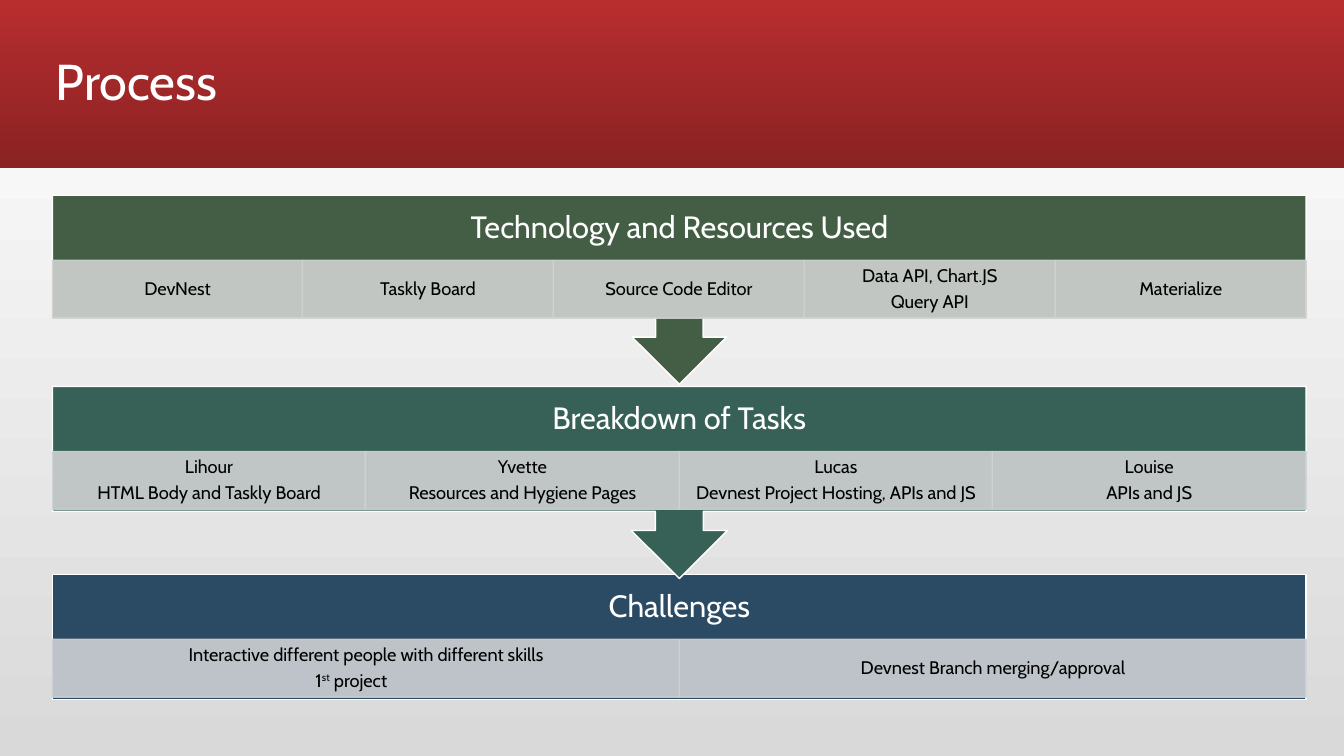
from lxml import etree
from pptx import Presentation
from pptx.dml.color import RGBColor
from pptx.enum.shapes import MSO_SHAPE
from pptx.enum.text import MSO_ANCHOR, PP_ALIGN
from pptx.oxml.ns import qn
from pptx.util import Pt

PX = 9525
RECT = MSO_SHAPE.RECTANGLE
CALLOUT = MSO_SHAPE.UP_ARROW_CALLOUT
MIDDLE = MSO_ANCHOR.MIDDLE
LEFT, CENTER = PP_ALIGN.LEFT, PP_ALIGN.CENTER

THEME = {
    "font": "Cabin",
    "title_size": 36, "heading_size": 22, "cell_size": 13,
    "light": "FFFFFF", "dark": "000000",
    "backdrop": ("D9D9D9", "FFFFFF"), "banner": ("B82D2F", "8A2223"),
    "technology": "445E45", "tasks": "376156", "challenges": "2B4A63",
    "technology_cell": "CFD2D0", "tasks_cell": "CED2D2", "challenges_cell": "CDD1D3",
}


def add_block(kind, bounds, fill, line, opacity=100):
    block = slide.shapes.add_shape(kind, *[value * PX for value in bounds])
    block.shadow.inherit = False
    block.fill.solid()
    block.fill.fore_color.rgb = RGBColor.from_string(fill)
    block.line.color.rgb = RGBColor.from_string(line)
    block.line.width = Pt(1)
    if opacity < 100:
        for color in list(block._element.spPr.iter(qn("a:srgbClr"))):
            etree.SubElement(color, qn("a:alpha")).set("val", str(opacity * 1000))
    return block


def write(holder, text, size, color, align=CENTER, inset=(10, 2), after=0.35):
    frame = holder.text_frame
    frame.word_wrap = True
    frame.vertical_anchor = MIDDLE
    frame.margin_left = frame.margin_right = inset[0] * PX
    frame.margin_top = frame.margin_bottom = inset[1] * PX
    for index, content in enumerate(text.split("\n")):
        paragraph = frame.add_paragraph() if index else frame.paragraphs[0]
        paragraph.alignment = align
        paragraph.line_spacing = 0.9
        paragraph.space_after = Pt(size * after)
        for part, piece in enumerate(content.split("^")):
            run = paragraph.add_run()
            run.text = piece
            run.font.name = THEME["font"]
            run.font.size = Pt(size)
            run.font.color.rgb = RGBColor.from_string(color)
            if part % 2:
                run.font._element.set("baseline", "30000")


presentation = Presentation()
presentation.slide_width = 1280 * PX
presentation.slide_height = 720 * PX
slide = presentation.slides.add_slide(presentation.slide_layouts[6])

banner = add_block(RECT, (0, 0, 1280, 160), THEME["banner"][0], THEME["banner"][0])
banner.line.fill.background()
for fill, colors, angle in (
    (slide.background.fill, THEME["backdrop"], 90),
    (banner.fill, THEME["banner"], 270),
):
    fill.gradient()
    fill.gradient_angle = angle
    for stop, color in zip(fill.gradient_stops, colors):
        stop.color.rgb = RGBColor.from_string(color)

title = slide.shapes.add_textbox(43 * PX, 11 * PX, 1056 * PX, 139 * PX)
write(title, "Process", THEME["title_size"], THEME["light"], align=LEFT, inset=(10, 5), after=0)

STAGE_LEFT, STAGE_WIDTH = 50, 1194
HEADING_HEIGHT, CELL_OFFSET, CELL_HEIGHT = 64, 62, 55

stages = [
    ("challenges", "Challenges", RECT, 547, 119, [
        "Interactive different people with different skills\n1^st^ project\t",
        "Devnest Branch merging/approval",
    ]),
    ("tasks", "Breakdown of Tasks", CALLOUT, 368, 183, [
        "Lihour\nHTML Body and Taskly Board",
        "Yvette\nResources and Hygiene Pages",
        "Lucas\nDevnest Project Hosting, APIs and JS",
        "Louise\nAPIs and JS",
    ]),
    ("technology", "Technology and Resources Used", CALLOUT, 186, 180, [
        "DevNest",
        "Taskly Board",
        "Source Code Editor",
        "Data API, Chart.JS\nQuery API",
        "Materialize",
    ]),
]

for stage, heading, kind, top, height, cells in stages:
    block = add_block(kind, (STAGE_LEFT, top, STAGE_WIDTH, height), THEME[stage], THEME["light"])
    if kind == CALLOUT:
        block.rotation = 180
    label = slide.shapes.add_textbox(
        STAGE_LEFT * PX, top * PX, STAGE_WIDTH * PX, HEADING_HEIGHT * PX)
    write(label, heading, THEME["heading_size"], THEME["light"], inset=(16, 16))
    edges = [STAGE_LEFT + STAGE_WIDTH * step // len(cells) for step in range(len(cells) + 1)]
    cell_color = THEME[stage + "_cell"]
    for start, end, text in zip(edges, edges[1:], cells):
        bounds = (start, top + CELL_OFFSET, end - start, CELL_HEIGHT)
        cell = add_block(RECT, bounds, cell_color, cell_color, opacity=90)
        write(cell, text, THEME["cell_size"], THEME["dark"])

presentation.save("out.pptx")
